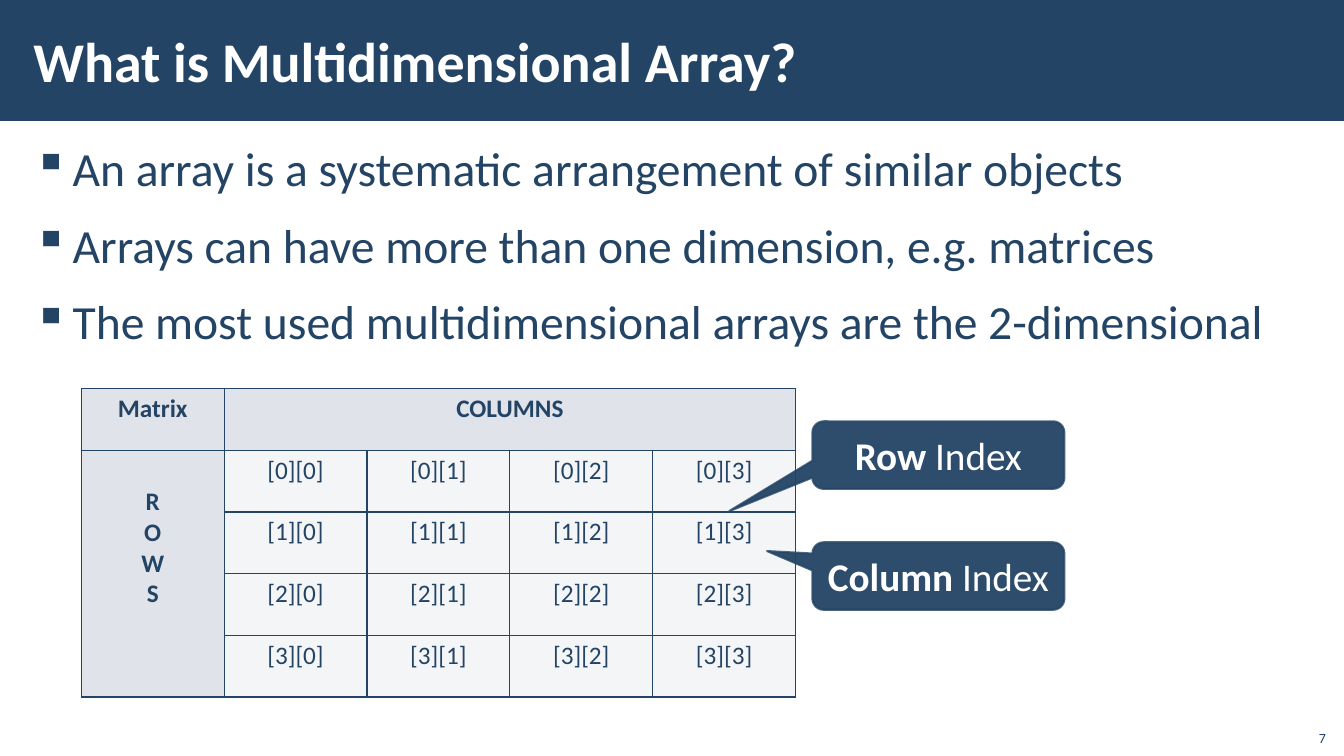
from dataclasses import dataclass
from itertools import product

from lxml.etree import SubElement
from pptx import Presentation
from pptx.dml.color import RGBColor
from pptx.enum.shapes import MSO_SHAPE as Shape
from pptx.enum.text import MSO_ANCHOR as Anchor, PP_ALIGN as Align
from pptx.oxml import parse_xml
from pptx.oxml.ns import nsdecls, qn
from pptx.util import Inches, Pt


@dataclass(frozen=True)
class Theme:
    font: str = "Calibri"
    navy: str = "234465"
    white: str = "FFFFFF"
    heading_fill: str = "E0E3E9"
    cell_fill: str = "F4F5F7"
    title_size: int = 40
    body_size: int = 34
    callout_size: int = 28
    table_size: int = 18
    number_size: int = 10


class SlideBuilder:
    """Places elements by boxes of left, top, width, height in percent of the slide."""

    def __init__(self, presentation, theme):
        self.theme = theme
        self.width = presentation.slide_width
        self.height = presentation.slide_height
        self.slide = presentation.slides.add_slide(presentation.slide_layouts[6])
        self.shapes = self.slide.shapes

    def place(self, box):
        left, top, width, height = box
        return (int(left * self.width / 100), int(top * self.height / 100),
                int(width * self.width / 100), int(height * self.height / 100))

    def style(self, paragraph, size, color, bold=False, align=Align.LEFT):
        paragraph.alignment = align
        for run in paragraph.runs:
            run.font.name = self.theme.font
            run.font.size = Pt(size)
            run.font.bold = bold
            run.font.color.rgb = RGBColor.from_string(color)

    def band(self, box):
        shape = self.shapes.add_shape(Shape.RECTANGLE, *self.place(box))
        shape.shadow.inherit = False
        shape.fill.solid()
        shape.fill.fore_color.rgb = RGBColor.from_string(self.theme.navy)
        shape.line.fill.background()

    def text(self, box, text, size, color, bold=False, align=Align.LEFT,
             anchor=Anchor.TOP, inset=0.12):
        shape = self.shapes.add_textbox(*self.place(box))
        frame = shape.text_frame
        frame.word_wrap = True
        frame.vertical_anchor = anchor
        frame.margin_left = frame.margin_right = Inches(inset)
        frame.margin_top = frame.margin_bottom = Inches(0.04)
        frame.text = text
        for paragraph in frame.paragraphs:
            self.style(paragraph, size, color, bold, align)
        return frame

    def bullets(self, box, items):
        frame = self.text(box, "\n".join(items), self.theme.body_size, self.theme.navy)
        for paragraph in frame.paragraphs:
            paragraph.line_spacing = 1.05
            paragraph.space_before = paragraph.space_after = Pt(6)
            properties = paragraph._p.get_or_add_pPr()
            properties.set("marL", str(Inches(0.39)))
            properties.set("indent", str(Inches(-0.39)))
            SubElement(properties, qn("a:buChar")).set("char", "▪")

    def cell(self, cell, text, fill, bold):
        cell.text = text
        for paragraph in cell.text_frame.paragraphs:
            self.style(paragraph, self.theme.table_size, self.theme.navy, bold, Align.CENTER)
        cell.fill.solid()
        cell.fill.fore_color.rgb = RGBColor.from_string(fill)
        properties = cell._tc.get_or_add_tcPr()
        for index, side in enumerate(("lnL", "lnR", "lnT", "lnB")):
            properties.insert(index, parse_xml(
                f'<a:{side} {nsdecls("a")} w="{Pt(1)}"><a:solidFill>'
                f'<a:srgbClr val="{self.theme.navy}"/></a:solidFill></a:{side}>'))

    def matrix(self, box, size):
        """Draw a size by size index matrix with a heading row and a heading column."""
        count = size + 1
        left, top, width, height = self.place(box)
        table = self.shapes.add_table(count, count, left, top, width, height).table
        for column in table.columns:
            column.width = width // count
        for row in table.rows:
            row.height = height // count
        headings = {(0, 0): "Matrix", (0, 1): "COLUMNS", (1, 0): "\n".join("ROWS")}
        for row, column in product(range(count), repeat=2):
            heading = row == 0 or column == 0
            text = headings.get((row, column), "") if heading else f"[{row - 1}][{column - 1}]"
            fill = self.theme.heading_fill if heading else self.theme.cell_fill
            self.cell(table.cell(row, column), text, fill, heading)
        table.cell(0, 1).merge(table.cell(0, size))
        table.cell(1, 0).merge(table.cell(size, 0))
        table.cell(1, 0).margin_top = Inches(0.36)

    def callout(self, box, strong, plain, tip):
        shape = self.shapes.add_shape(Shape.ROUNDED_RECTANGULAR_CALLOUT, *self.place(box))
        shape.shadow.inherit = False
        shape.adjustments[0], shape.adjustments[1] = tip
        shape.line.width = Pt(1.5)
        for fill, opacity in ((shape.fill, 95), (shape.line.fill, 80)):
            fill.solid()
            fill.fore_color.rgb = RGBColor.from_string(self.theme.navy)
        for color, opacity in zip(shape._element.spPr.iter(qn("a:srgbClr")), (95, 80)):
            SubElement(color, qn("a:alpha")).set("val", str(opacity * 1000))
        frame = shape.text_frame
        frame.word_wrap = True
        frame.vertical_anchor = Anchor.MIDDLE
        paragraph = frame.paragraphs[0]
        for text in (strong + " ", plain):
            paragraph.add_run().text = text
        self.style(paragraph, self.theme.callout_size, self.theme.white, align=Align.CENTER)
        paragraph.runs[0].font.bold = True


def main():
    presentation = Presentation()
    presentation.slide_width, presentation.slide_height = Inches(13.33), Inches(7.5)
    theme = Theme()
    builder = SlideBuilder(presentation, theme)

    builder.band((0, 0, 100, 16))
    builder.bullets((1.58, 17.47, 96.9, 80.67), (
        "An array is a systematic arrangement of similar objects",
        "Arrays can have more than one dimension, e.g. matrices",
        "The most used multidimensional arrays are the 2-dimensional",
    ))
    builder.text((1.58, 1.47, 79.7, 12.93), "What is Multidimensional Array?",
                 theme.title_size, theme.white, bold=True, anchor=Anchor.MIDDLE)
    builder.matrix((6.05, 51.4, 53.15, 40.8), size=4)
    callouts = (("Row", (-0.83, 0.83)), ("Column", (-0.68, -0.37)))
    for index, (name, tip) in enumerate(callouts):
        builder.callout((60.45, 55.73 + 16 * index, 18.75, 8.93), name, "Index", tip)
    builder.text((96.4, 94.93, 3, 4.27), "7", theme.number_size, theme.navy,
                 align=Align.RIGHT, anchor=Anchor.BOTTOM, inset=0.1)
    presentation.save("out.pptx")


if __name__ == "__main__":
    main()
